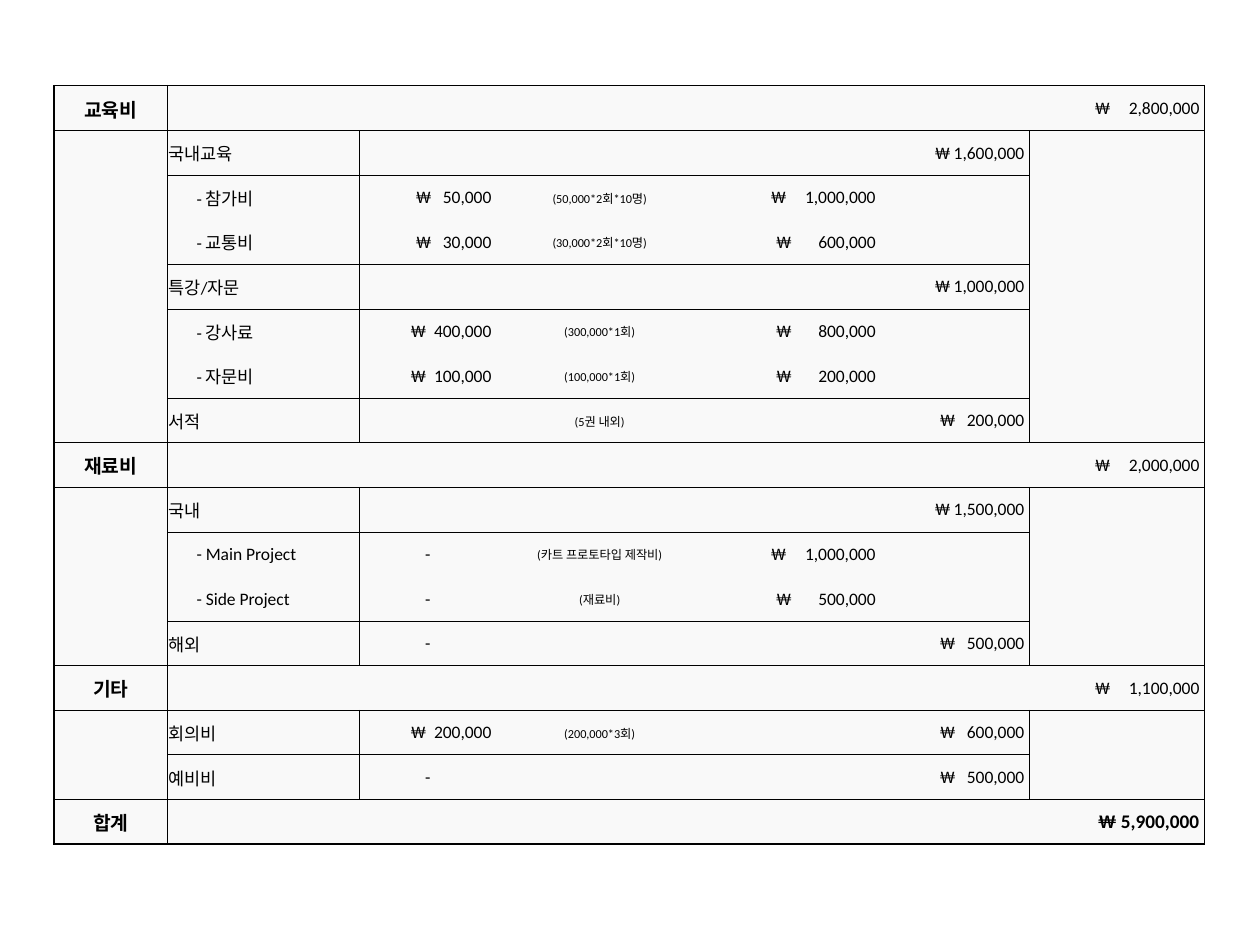
from lxml.etree import SubElement
from pptx import Presentation
from pptx.dml.color import RGBColor
from pptx.enum.text import MSO_ANCHOR, PP_ALIGN
from pptx.oxml.ns import qn
from pptx.util import Inches, Pt

COLORS = {"ink": "000000", "fill": "F9F9F9"}
THIN, THICK = 0.25, 1

# Column widths and won-sign offsets, in percent of the slide width
COLS = [9, 15.2, 10.9, 16.4, 14.1, 11.8, 13.9]
MARKS = {2: 4.1, 4: 5.4, 5: 4.3, 6: 5.2}
LONG = {2: 7, 4: 9, 5: 9, 6: 9}  # characters in the widest amount
EDGE, PAD, INDENT, STEP = 0.4, 0.1, 2.3, 0.4

# Group rows: name, total. Item rows: label, unit price, note, amount, subtotal.
ROWS = [
    ("교육비", "2,800,000"),
    ("국내교육", "", "", "", "1,600,000"),
    ("- 참가비", "50,000", "(50,000*2회*10명)", "1,000,000", ""),
    ("- 교통비", "30,000", "(30,000*2회*10명)", "600,000", ""),
    ("특강/자문", "", "", "", "1,000,000"),
    ("- 강사료", "400,000", "(300,000*1회)", "800,000", ""),
    ("- 자문비", "100,000", "(100,000*1회)", "200,000", ""),
    ("서적", "", "(5권 내외)", "", "200,000"),
    ("재료비", "2,000,000"),
    ("국내", "", "", "", "1,500,000"),
    ("- Main Project", "-", "(카트 프로토타입 제작비)", "1,000,000", ""),
    ("- Side Project", "-", "(재료비)", "500,000", ""),
    ("해외", "-", "", "", "500,000"),
    ("기타", "1,100,000"),
    ("회의비", "200,000", "(200,000*3회)", "", "600,000"),
    ("예비비", "-", "", "", "500,000"),
    ("합계", "5,900,000"),
]
LAST = len(ROWS) - 1


def is_group(row):
    return len(ROWS[row]) == 2


def is_sub(row):
    return ROWS[row][0].startswith("-")


def rule_above(row, col):
    """Width of the line on top of a cell; 0 means none."""
    if row > LAST or is_group(row):
        return THICK
    if is_group(row - 1):
        return THIN
    joined = is_sub(row) and is_sub(row - 1)
    return THIN if 1 <= col <= 5 and not joined else 0


def rule_left(row, col):
    """Width of the line on the left of a cell; 0 means none."""
    if col in (0, len(COLS)):
        return THICK
    inner = (1,) if is_group(row) else (1, 2, 6)
    return THIN if col in inner else 0


class Deck:
    font = "Calibri"

    def __init__(self):
        self.prs = Presentation()
        self.prs.slide_width, self.prs.slide_height = Inches(10), Inches(7.5)
        self.slide = self.prs.slides.add_slide(self.prs.slide_layouts[6])

    def wide(self, pct):
        return int(self.prs.slide_width * pct / 100)

    def high(self, pct):
        return int(self.prs.slide_height * pct / 100)

    def table(self, left, top, height):
        frame = self.slide.shapes.add_table(
            len(ROWS), len(COLS), self.wide(left), self.high(top),
            self.wide(sum(COLS)), self.high(height))
        grid = frame.table
        grid.first_row = grid.horz_banding = False
        for col, width in zip(grid.columns, COLS):
            col.width = self.wide(width)
        for row in grid.rows:
            row.height = self.high(height / len(ROWS))
        for row in range(len(ROWS)):
            for col in range(len(COLS)):
                self.box(grid.cell(row, col), row, col)
        return grid

    def box(self, cell, row, col):
        lines = {"L": rule_left(row, col), "R": rule_left(row, col + 1),
                 "T": rule_above(row, col), "B": rule_above(row + 1, col)}
        props = cell._tc.get_or_add_tcPr()
        for side, size in lines.items():
            line = SubElement(props, qn(f"a:ln{side}"), w=str(Pt(size)))
            if size:
                paint = SubElement(line, qn("a:solidFill"))
                SubElement(paint, qn("a:srgbClr"), val=COLORS["ink"])
            else:
                SubElement(line, qn("a:noFill"))
        cell.fill.solid()
        cell.fill.fore_color.rgb = RGBColor.from_string(COLORS["fill"])
        cell.vertical_anchor = MSO_ANCHOR.MIDDLE
        cell.margin_left = cell.margin_right = cell.margin_top = self.wide(PAD)
        cell.margin_bottom = 0

    def text(self, cell, text, size=10, bold=False, align=PP_ALIGN.LEFT):
        para = cell.text_frame.paragraphs[0]
        para.text = text
        para.alignment = align
        for run in para.runs:
            run.font.name, run.font.size, run.font.bold = self.font, Pt(size), bold
            run.font.color.rgb = RGBColor.from_string(COLORS["ink"])
        return para

    def money(self, cell, value, col):
        """Won sign at the left margin, figure on a right tab stop."""
        mark = MARKS[col] + (STEP if len(value) < LONG[col] else 0)
        cell.margin_left = self.wide(mark)
        para = self.text(cell, f"₩\t{value}")
        tabs = SubElement(para._p.get_or_add_pPr(), qn("a:tabLst"))
        stop = self.wide(COLS[col] - EDGE - mark)
        SubElement(tabs, qn("a:tab"), pos=str(stop), algn="r")

    def group(self, grid, row):
        name, total = ROWS[row]
        self.text(grid.cell(row, 0), name, 11, True, PP_ALIGN.CENTER)
        cell = grid.cell(row, 6)
        if row < LAST:
            self.money(cell, total, 6)
        else:
            cell.margin_right = self.wide(EDGE)
            self.text(cell, f"₩ {total}", 11, True, PP_ALIGN.RIGHT)

    def item(self, grid, row):
        for col, text in enumerate(ROWS[row], 1):
            cell = grid.cell(row, col)
            if not text:
                continue
            if col == 1:
                if is_sub(row):
                    cell.margin_left = self.wide(INDENT)
                self.text(cell, text)
            elif col == 3:
                self.text(cell, text, 7, align=PP_ALIGN.CENTER)
            elif text == "-":
                self.text(cell, text, align=PP_ALIGN.CENTER)
            else:
                self.money(cell, text, col)


def main():
    deck = Deck()
    # Budget table
    grid = deck.table(4.3, 9.07, 80.27)
    for row in range(len(ROWS)):
        fill = deck.group if is_group(row) else deck.item
        fill(grid, row)
    deck.prs.save("out.pptx")


if __name__ == "__main__":
    main()
